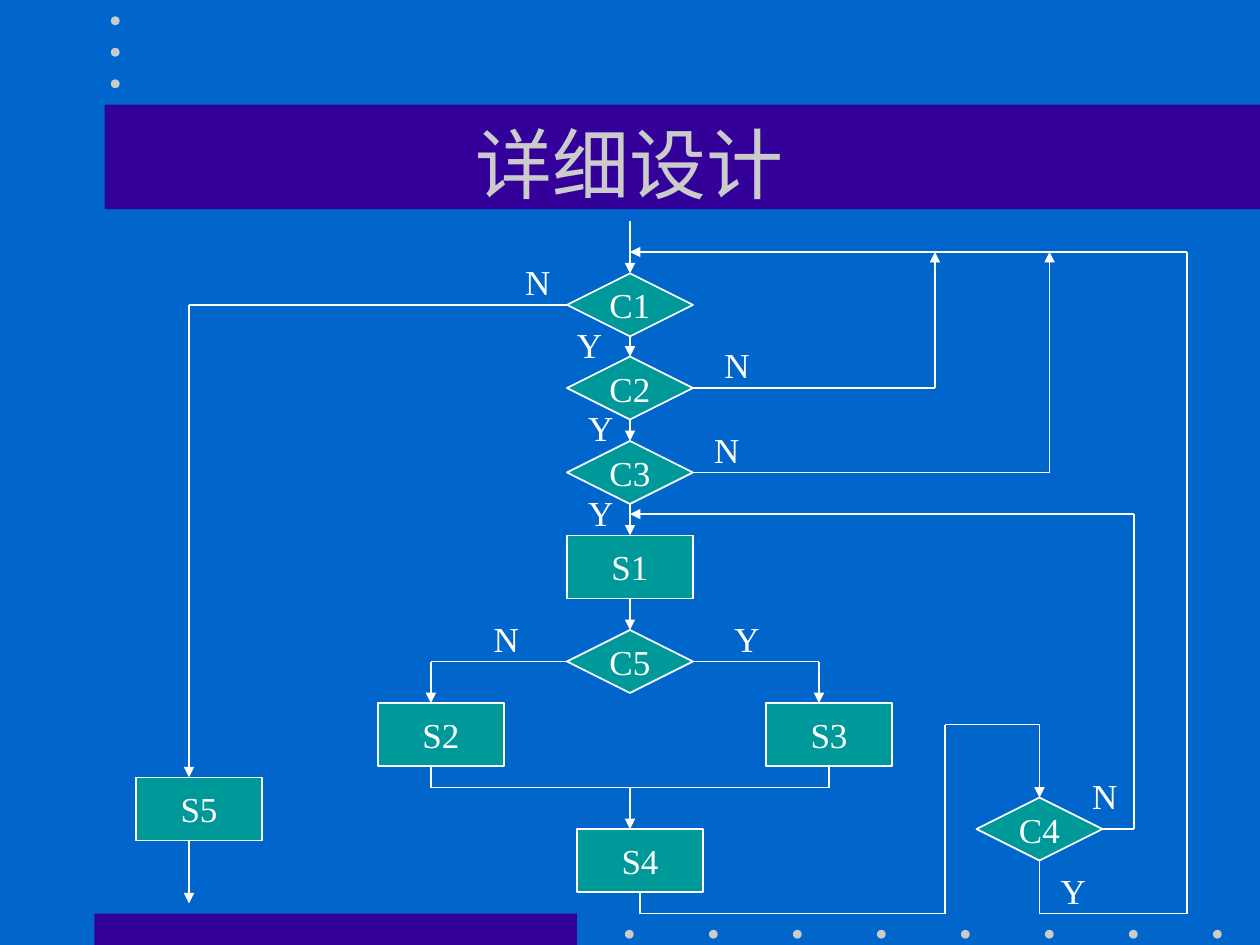
import itertools
from dataclasses import dataclass

import pptx
import pptx.dml.color
import pptx.enum.shapes
import pptx.enum.text
import pptx.oxml
import pptx.oxml.ns
import pptx.util
from pptx.util import Inches

SHAPES = pptx.enum.shapes.MSO_SHAPE
ALIGN = pptx.enum.text.PP_ALIGN
ANCHOR = pptx.enum.text.MSO_ANCHOR
WHITE, GREY, TEAL, PURPLE, BLUE = "FFFFFF", "CBCBCB", "009999", "330099", "0066CC"
NODE_WIDTH, NODE_HEIGHT = 1, 0.5
DOT_SIZE = 0.07
LABEL_WIDTH, LABEL_HEIGHT = 0.4, 0.44


@dataclass
class Node:
    text: str
    left: float
    top: float


@dataclass
class Route:
    points: list[tuple[float, float]]
    arrow: bool = True


@dataclass
class Label:
    text: str
    left: float
    top: float


# Names starting with C are conditions, names starting with S are steps.
NODES = [
    Node("C1", 4.5, 2.17),
    Node("C2", 4.5, 2.83),
    Node("C3", 4.5, 3.5),
    Node("S1", 4.5, 4.25),
    Node("C5", 4.5, 5),
    Node("S2", 3, 5.58),
    Node("S3", 6.08, 5.58),
    Node("S4", 4.58, 6.58),
    Node("S5", 1.08, 6.17),
    Node("C4", 7.75, 6.33),
]

ROUTES = [
    Route([(5, 1.75), (5, 2.17)]),
    Route([(5, 2.67), (5, 2.83)]),
    Route([(5, 3.33), (5, 3.5)]),
    Route([(5, 4), (5, 4.25)]),
    Route([(5, 4.75), (5, 5)]),
    Route([(4.5, 2.42), (1.5, 2.42), (1.5, 6.17)]),
    Route([(1.5, 6.67), (1.5, 7.17)]),
    Route([(4.5, 5.25), (3.42, 5.25), (3.42, 5.58)]),
    Route([(5.5, 5.25), (6.5, 5.25), (6.5, 5.58)]),
    Route([(3.42, 6.08), (3.42, 6.25), (6.58, 6.25), (6.58, 6.08)], arrow=False),
    Route([(5, 6.25), (5, 6.58)]),
    Route([(5.08, 7.08), (5.08, 7.25), (7.5, 7.25), (7.5, 5.75), (8.25, 5.75), (8.25, 6.33)]),
    Route([(8.75, 6.58), (9, 6.58), (9, 4.08), (5, 4.08)]),
    Route([(8.25, 6.83), (8.25, 7.25), (9.42, 7.25), (9.42, 2), (5, 2)]),
    Route([(5.5, 3.08), (7.42, 3.08), (7.42, 2)]),
    Route([(5.5, 3.75), (8.33, 3.75), (8.33, 2)]),
]

LABELS = [
    Label("N", 4.07, 2.02),
    Label("Y", 4.48, 2.52),
    Label("N", 5.65, 2.68),
    Label("Y", 4.57, 3.18),
    Label("N", 5.57, 3.35),
    Label("Y", 4.57, 3.85),
    Label("N", 3.82, 4.85),
    Label("Y", 5.73, 4.85),
    Label("N", 8.57, 6.1),
    Label("Y", 8.32, 6.85),
]


def color(value: str) -> pptx.dml.color.RGBColor:
    return pptx.dml.color.RGBColor.from_string(value)


def write_text(shape, text: str, size: float, text_color: str, align, **frame_format) -> None:
    frame = shape.text_frame
    for name, value in frame_format.items():
        setattr(frame, name, value)
    paragraph = frame.paragraphs[0]
    paragraph.alignment = align
    run = paragraph.add_run()
    run.text = text
    font_format = {"name": "Times New Roman", "size": pptx.util.Pt(size)}
    for name, value in font_format.items():
        setattr(run.font, name, value)
    run.font.color.rgb = color(text_color)


def add_filled(slide, kind, left: float, top: float, width: float, height: float, fill: str):
    """Add a preset shape with a plain fill, no outline and no shadow."""
    shape = slide.shapes.add_shape(kind, Inches(left), Inches(top), Inches(width), Inches(height))
    shape.shadow.inherit = False
    shape.fill.solid()
    shape.fill.fore_color.rgb = color(fill)
    shape.line.fill.background()
    return shape


def set_line(line) -> None:
    line.color.rgb = color(WHITE)
    line.width = pptx.util.Pt(1)


def add_node(slide, node: Node) -> None:
    is_condition = node.text.startswith("C")
    kind = SHAPES.FLOWCHART_DECISION if is_condition else SHAPES.FLOWCHART_PROCESS
    shape = add_filled(slide, kind, node.left, node.top, NODE_WIDTH, NODE_HEIGHT, TEAL)
    set_line(shape.line)
    write_text(shape, node.text, 20, WHITE, ALIGN.CENTER,
               vertical_anchor=ANCHOR.MIDDLE, word_wrap=False)


def add_route(slide, route: Route) -> None:
    """Draw one straight line per leg, with an arrowhead on the last."""
    for start, end in itertools.pairwise(route.points):
        connector = slide.shapes.add_connector(
            pptx.enum.shapes.MSO_CONNECTOR.STRAIGHT, *map(Inches, start + end))
        set_line(connector.line)
        properties = connector._element.spPr
        if route.arrow and end == route.points[-1]:
            head = pptx.oxml.parse_xml(
                f'<a:tailEnd {pptx.oxml.ns.nsdecls("a")} type="triangle" w="med" len="med"/>')
            connector.line._get_or_add_ln().append(head)
        properties.append(pptx.oxml.parse_xml(f'<a:effectLst {pptx.oxml.ns.nsdecls("a")}/>'))


def add_label(slide, label: Label) -> None:
    box = slide.shapes.add_textbox(Inches(label.left), Inches(label.top),
                                   Inches(LABEL_WIDTH), Inches(LABEL_HEIGHT))
    write_text(box, label.text, 20, WHITE, ALIGN.LEFT, word_wrap=False,
               auto_size=pptx.enum.text.MSO_AUTO_SIZE.SHAPE_TO_FIT_TEXT)


def add_decoration(slide) -> None:
    add_filled(slide, SHAPES.RECTANGLE, 0.75, 7.25, 3.83, 0.25, PURPLE)
    add_filled(slide, SHAPES.RECTANGLE, 0.83, 0.83, 9.17, 0.83, PURPLE)
    bottom_dots = [(4.96 + index * 2 / 3, 7.38) for index in range(8)]
    top_dots = [(0.88, 0.13 + index * 0.25) for index in range(3)]
    for left, top in bottom_dots + top_dots:
        add_filled(slide, SHAPES.OVAL, left, top, DOT_SIZE, DOT_SIZE, GREY)


def add_title(slide, text: str) -> None:
    title = slide.shapes.title
    place = {"left": 0.75, "top": 0.67, "width": 8.5, "height": 1.25}
    for name, value in place.items():
        setattr(title, name, Inches(value))
    write_text(title, text, 44, GREY, ALIGN.CENTER, vertical_anchor=ANCHOR.MIDDLE)
    # The title sits in front of the band behind it.
    slide.shapes._spTree.append(title._element)


def main() -> None:
    presentation = pptx.Presentation()
    presentation.slide_width, presentation.slide_height = Inches(10), Inches(7.5)
    slide = presentation.slides.add_slide(presentation.slide_layouts[5])
    slide.background.fill.solid()
    slide.background.fill.fore_color.rgb = color(BLUE)

    add_decoration(slide)
    add_title(slide, "详细设计")
    for node in NODES:
        add_node(slide, node)
    for route in ROUTES:
        add_route(slide, route)
    for label in LABELS:
        add_label(slide, label)
    presentation.save("out.pptx")


if __name__ == "__main__":
    main()
